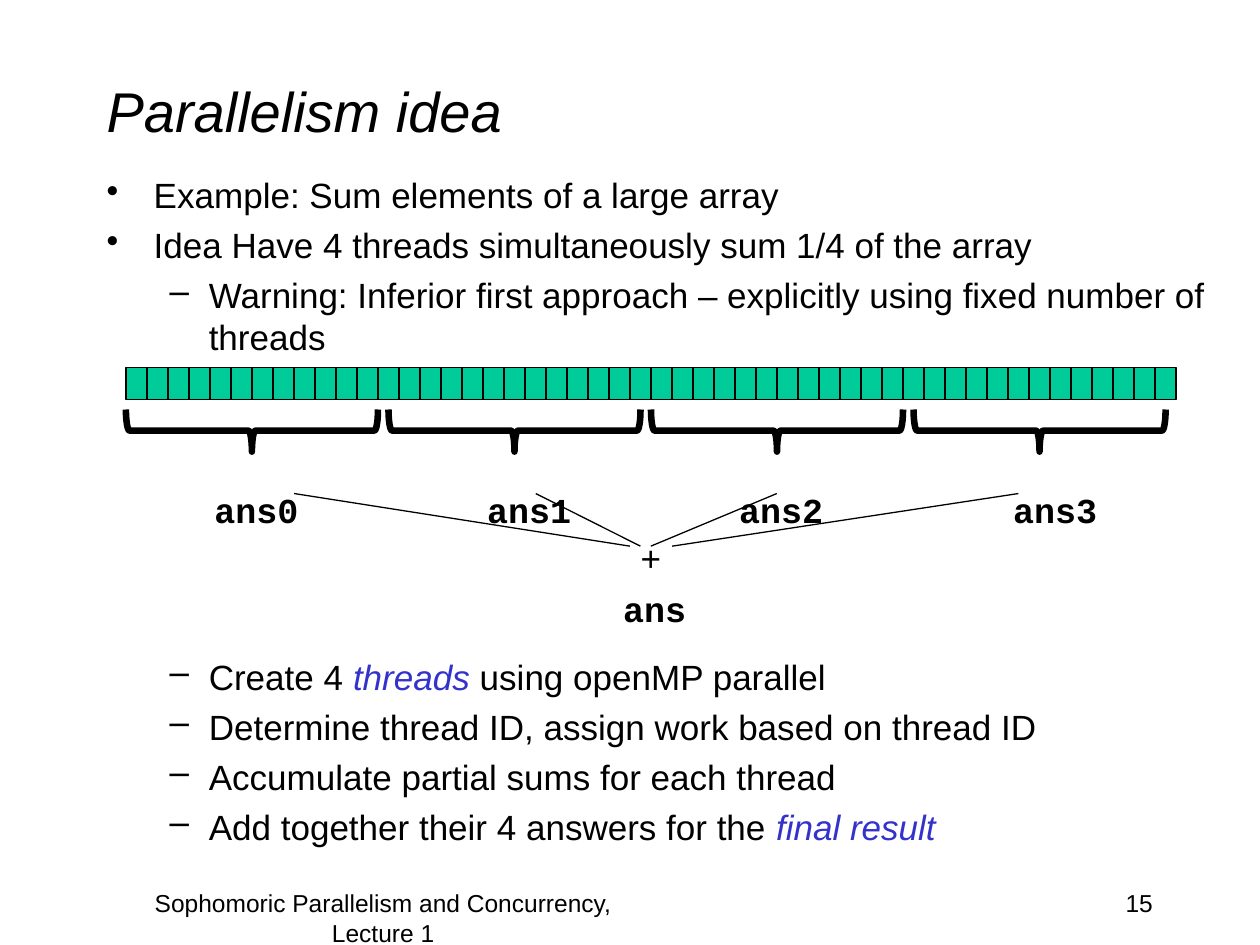
import pptx
import pptx.util
import pptx.dml.color
import pptx.enum.shapes
import pptx.enum.text
import pptx.oxml
from lxml import etree

Cm, Pt = pptx.util.Cm, pptx.util.Pt
Kind = pptx.enum.shapes.MSO_SHAPE
Side = pptx.enum.text.PP_ALIGN
Mid = pptx.enum.text.MSO_ANCHOR.MIDDLE

BLACK, BLUE, GREEN = "000000", "3333CC", "00CC99"
BODY = {"size": Pt(20), "name": "Arial"}
CODE = {"size": Pt(20), "name": "Courier New", "bold": True}
HEAD = {"size": Pt(32), "name": "Arial", "italic": True}
FOOT = {"size": Pt(14), "name": "Arial"}

LEVELS = [("•", 0.95, -0.95), ("–", 2.06, -0.79)]
INTRO = [
    (0, ["Example: Sum elements of a large array"]),
    (0, ["Idea Have 4 threads simultaneously sum 1/4 of the array"]),
    (1, ["Warning: Inferior first approach – explicitly using fixed number of threads"]),
]
STEPS = [
    (1, ["Create 4 ", "threads ", "using openMP parallel"]),
    (1, ["Determine thread ID, assign work based on thread ID"]),
    (1, ["Accumulate partial sums for each thread"]),
    (1, ["Add together their 4 answers for the ", "final result"]),
]
LABELS = [
    ("ans0", 5.17, 10.28, CODE),
    ("ans1", 10.67, 10.28, CODE),
    ("ans2", 15.75, 10.28, CODE),
    ("ans3", 21.27, 10.28, CODE),
    ("+", 13.12, 11.23, BODY),
    ("ans", 13.2, 12.26, CODE),
]
LINKS = [(5.93, 12.7), (10.8, 12.91), (15.66, 13.12), (20.53, 13.55)]
CELLS, PARTS = 50, 4
LEFT, WIDE = 2.54, 21.17

deck = pptx.Presentation()
deck.slide_width, deck.slide_height = Cm(25.4), Cm(19.05)
slide = deck.slides.add_slide(deck.slide_layouts[6])
shapes = slide.shapes


def tint(hue):
    return pptx.dml.color.RGBColor.from_string(hue)


def write(para, text, style, hue=BLACK):
    run = para.add_run()
    run.text = text
    for key, value in style.items():
        setattr(run.font, key, value)
    run.font.color.rgb = tint(hue)


def box(x, y, w, h, **form):
    frame = shapes.add_textbox(Cm(x), Cm(y), Cm(w), Cm(h)).text_frame
    for key, value in {"word_wrap": True, **form}.items():
        setattr(frame, key, value)
    return frame


def label(text, place, style, side, **form):
    para = box(*place, **form).paragraphs[0]
    para.alignment = side
    write(para, text, style)


def bullets(items, place):
    frame = box(*place)
    for i, (level, parts) in enumerate(items):
        para = frame.add_paragraph() if i else frame.paragraphs[0]
        mark, left, hang = LEVELS[level]
        para.level = level
        para.space_before = Pt(4.6)
        props = para._p.get_or_add_pPr()
        props.set("marL", str(Cm(left)))
        props.set("indent", str(Cm(hang)))
        sign = etree.SubElement(props, pptx.oxml.ns.qn("a:buChar"))
        sign.set("char", mark)
        for j, part in enumerate(parts):
            key = j % 2 == 1
            write(para, part, {**BODY, "italic": key}, BLUE if key else BLACK)


def stroke(item, width):
    item.line.color.rgb = tint(BLACK)
    item.line.width = Pt(width)


def solid(kind, x, y, w, h, width, fill=None):
    item = shapes.add_shape(kind, Cm(x), Cm(y), Cm(w), Cm(h))
    item.shadow.inherit = False
    if fill:
        item.fill.solid()
        item.fill.fore_color.rgb = tint(fill)
    else:
        item.fill.background()
    stroke(item, width)
    return item


label("Parallelism idea", (1.9, 0.64, 21.59, 3.18), HEAD, Side.LEFT, vertical_anchor=Mid)
bullets(INTRO, (1.9, 3.38, 23.06, 3.9))
bullets(STEPS, (1.9, 13.08, 23.06, 4.2))
label("15", (18.21, 17.78, 5.28, 1.27), FOOT, Side.RIGHT)
label("Sophomoric Parallelism and Concurrency, Lecture 1",
      (2.11, 17.78, 11.23, 1.27), FOOT, Side.CENTER)

step = WIDE / CELLS
for i in range(CELLS):
    solid(Kind.RECTANGLE, LEFT + i * step, 7.41, step, 0.64, 0.75, GREEN)

span, deep = 5.08, 0.85
for i in range(PARTS):
    mid = LEFT + span / 2 + i * WIDE / PARTS
    brace = solid(Kind.LEFT_BRACE, mid - deep / 2, 6.14, deep, span, 3.75)
    brace.rotation = 270

for text, x, y, style in LABELS:
    label(text, (x - 1.25, y - 0.5, 2.5, 1), style, Side.CENTER, vertical_anchor=Mid)

for start, end in LINKS:
    link = shapes.add_connector(pptx.enum.shapes.MSO_CONNECTOR.STRAIGHT,
                                Cm(start), Cm(9.95), Cm(end), Cm(11.01))
    stroke(link, 0.75)
    etree.SubElement(link._element.spPr, pptx.oxml.ns.qn("a:effectLst"))

deck.save("out.pptx")
